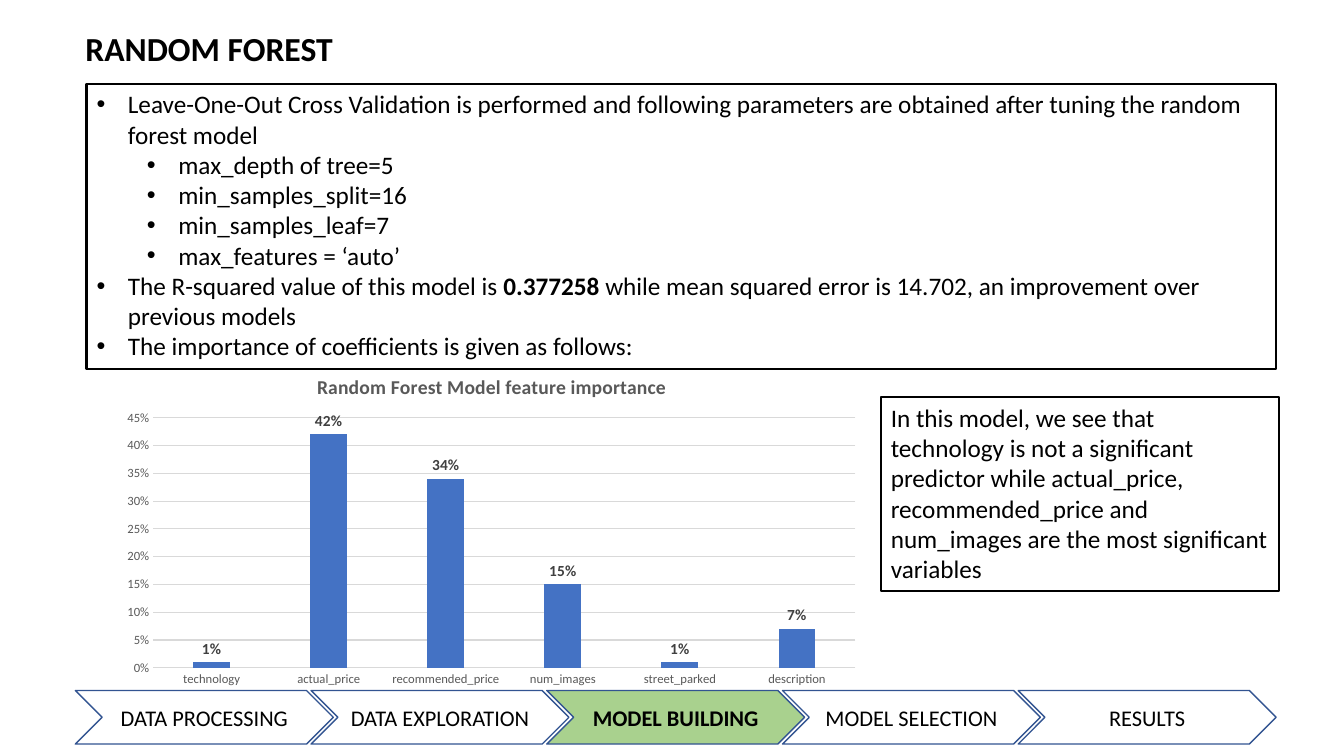
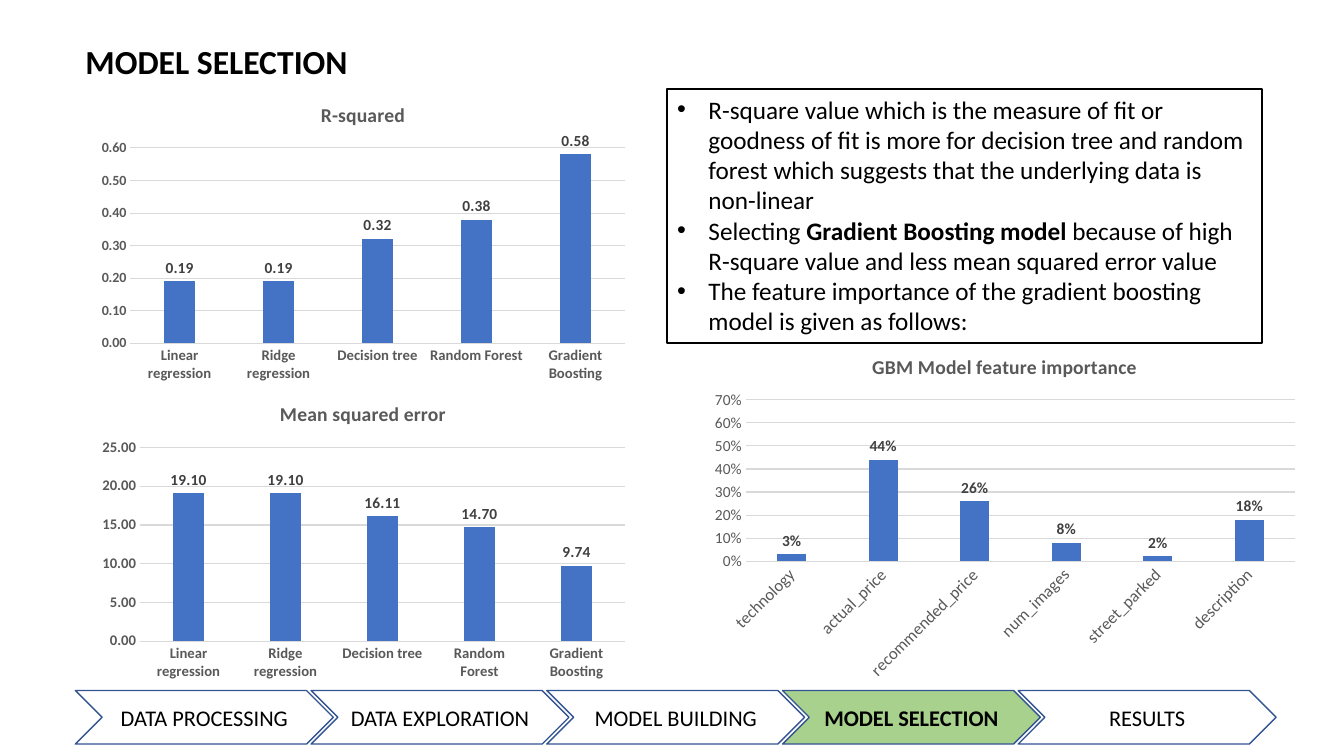
"""Build two slides on random forest results and model selection."""
from lxml import etree
from pptx import Presentation
from pptx.chart.data import CategoryChartData
from pptx.dml.color import RGBColor
from pptx.enum.chart import XL_CHART_TYPE, XL_LABEL_POSITION, XL_TICK_MARK
from pptx.enum.shapes import MSO_SHAPE
from pptx.enum.text import MSO_ANCHOR, MSO_AUTO_SIZE, PP_ALIGN
from pptx.oxml import parse_xml
from pptx.oxml.ns import nsdecls, qn
from pptx.util import Cm, Pt

COLUMNS = XL_CHART_TYPE.COLUMN_CLUSTERED
ABOVE_BAR = XL_LABEL_POSITION.OUTSIDE_END
NO_TICKS = XL_TICK_MARK.NONE
RECTANGLE, CHEVRON = MSO_SHAPE.RECTANGLE, MSO_SHAPE.CHEVRON
TOP, MIDDLE = MSO_ANCHOR.TOP, MSO_ANCHOR.MIDDLE
LEFT, CENTER = PP_ALIGN.LEFT, PP_ALIGN.CENTER
FIXED_SIZE = MSO_AUTO_SIZE.NONE

FONT = "Calibri"
BLACK = RGBColor(0x00, 0x00, 0x00)
WHITE = RGBColor(0xFF, 0xFF, 0xFF)
GREEN = RGBColor(0xA9, 0xD1, 0x8E)
NAVY = RGBColor(0x32, 0x54, 0x91)
BLUE = RGBColor(0x44, 0x72, 0xC4)
DARK_GREY = RGBColor(0x40, 0x40, 0x40)
GREY = RGBColor(0x59, 0x59, 0x59)
LIGHT_GREY = RGBColor(0xD9, 0xD9, 0xD9)

STAGES = ["DATA PROCESSING", "DATA EXPLORATION", "MODEL BUILDING",
          "MODEL SELECTION", "RESULTS"]
STAGE_LEFT, STAGE_TOP, STAGE_STEP = 1.9, 17.4, 5.94
STAGE_WIDTH, STAGE_HEIGHT = 6.5, 1.35
BULLET_INDENTS = [0.79, 2.06]
BULLET_HANG = 0.79

FEATURES = ["technology", "actual_price", "recommended_price",
            "num_images", "street_parked", "description"]
MODELS = ["Linear regression", "Ridge regression", "Decision tree",
          "Random Forest", "Gradient Boosting"]

SLIDES = [
    {
        "title": "RANDOM FOREST",
        "title_box": (1.9, 0.58, 12.29, 1.27),
        "bullets": [
            (0, "Leave-One-Out Cross Validation is performed and following parameters "
                "are obtained after tuning the random forest model"),
            (1, "max_depth of tree=5"),
            (1, "min_samples_split=16"),
            (1, "min_samples_leaf=7"),
            (1, "max_features = ‘auto’"),
            (0, "The R-squared value of this model is **0.377258 **while mean squared "
                "error is 14.702, an improvement over previous models"),
            (0, "The importance of coefficients is given as follows:"),
        ],
        "bullets_box": (2.18, 2.11, 29.97, 7.19),
        "note": "In this model, we see that technology is not a significant predictor "
                "while actual_price, recommended_price and num_images are the most "
                "significant variables",
        "note_box": (22.2, 10.01, 10.03, 4.88),
        "charts": [
            {"title": "Random Forest Model feature importance",
             "categories": FEATURES, "values": [0.01, 0.42, 0.34, 0.15, 0.01, 0.07],
             "box": (2.82, 9.02, 19.15, 8.59), "plot_box": (3.86, 10.53, 17.7, 6.3),
             "format": "0%", "top_value": 0.45, "step": 0.05,
             "sizes": (9, 9), "bold": False, "turn": 0},
        ],
        "stage": "MODEL BUILDING",
    },
    {
        "title": "MODEL SELECTION",
        "title_box": (1.9, 0.91, 17.75, 1.27),
        "bullets": [
            (0, "R-square value which is the measure of fit or goodness of fit is more "
                "for decision tree and random forest which suggests that the "
                "underlying data is non-linear"),
            (0, "Selecting **Gradient Boosting model **because of high R-square value "
                "and less mean squared error value"),
            (0, "The feature importance of the gradient boosting model is given as "
                "follows:"),
        ],
        "bullets_box": (16.81, 2.24, 14.99, 6.4),
        "charts": [
            {"title": "Mean squared error",
             "categories": MODELS, "values": [19.1, 19.1, 16.11, 14.7, 9.74],
             "box": (2.29, 9.7, 13.72, 7.62), "plot_box": (3.53, 11.28, 12.22, 4.88),
             "format": "0.00", "top_value": 25, "step": 5,
             "sizes": (10.5, 10.5), "bold": True, "turn": 0},
            {"title": "R-squared",
             "categories": MODELS, "values": [0.19, 0.19, 0.32, 0.38, 0.58],
             "box": (2.29, 2.18, 13.72, 7.62), "plot_box": (3.28, 3.73, 12.47, 4.92),
             "format": "0.00", "top_value": 0.6, "step": 0.1,
             "sizes": (10.5, 10), "bold": True, "turn": 0},
            {"title": "GBM Model feature importance",
             "categories": FEATURES, "values": [0.03, 0.44, 0.26, 0.08, 0.02, 0.18],
             "box": (17.7, 8.51, 15.24, 8.84), "plot_box": (18.8, 10.08, 13.84, 4.06),
             "format": "0%", "top_value": 0.7, "step": 0.1,
             "sizes": (12, 11), "bold": False, "turn": -45},
        ],
        "stage": "MODEL SELECTION",
    },
]


def in_cm(box):
    return [Cm(length) for length in box]


def style_font(font, size, color, bold=False):
    font.name = FONT
    font.size = Pt(size)
    font.bold = bold
    font.color.rgb = color


def add_bullet(paragraph, level):
    properties = paragraph._p.get_or_add_pPr()
    properties.set("marL", str(Cm(BULLET_INDENTS[level])))
    properties.set("indent", str(-Cm(BULLET_HANG)))
    etree.SubElement(properties, qn("a:buFont")).set("typeface", "Arial")
    etree.SubElement(properties, qn("a:buChar")).set("char", "•")


def write_text(frame, lines, size=18, color=BLACK, bold=False, align=LEFT, bullets=False):
    for index, (level, line) in enumerate(lines):
        paragraph = frame.add_paragraph() if index else frame.paragraphs[0]
        paragraph.level = level
        paragraph.alignment = align
        paragraph.space_before = Pt(0)
        if bullets:
            add_bullet(paragraph, level)
        for part, words in enumerate(line.split("**")):
            run = paragraph.add_run()
            run.text = words
            style_font(run.font, size, color, bold or part % 2 == 1)


def set_frame(frame, anchor):
    frame.word_wrap = True
    frame.auto_size = FIXED_SIZE
    frame.vertical_anchor = anchor


def fill_placeholder(placeholder, box, lines, **text_format):
    placeholder.left, placeholder.top, placeholder.width, placeholder.height = in_cm(box)
    set_frame(placeholder.text_frame, TOP)
    write_text(placeholder.text_frame, lines, **text_format)


def outline(shape, color, width):
    shape.line.color.rgb = color
    shape.line.width = Pt(width)


def add_note(slide, text, box):
    note = slide.shapes.add_shape(RECTANGLE, *in_cm(box))
    note.shadow.inherit = False
    note.fill.background()
    outline(note, BLACK, 1.5)
    set_frame(note.text_frame, TOP)
    write_text(note.text_frame, [(0, text)])


def place_plot(chart, box, plot_box):
    left, top, width, height = box
    plot_left, plot_top, plot_width, plot_height = plot_box
    fractions = {"x": (plot_left - left) / width, "y": (plot_top - top) / height,
                 "w": plot_width / width, "h": plot_height / height}
    plot_area = chart.element.xpath("c:chart/c:plotArea")[0]
    for layout in plot_area.findall(qn("c:layout")):
        plot_area.remove(layout)
    modes = '<c:layoutTarget val="inner"/><c:xMode val="edge"/><c:yMode val="edge"/>'
    sides = "".join(f'<c:{side} val="{value:.4f}"/>' for side, value in fractions.items())
    plot_area.insert(0, parse_xml(
        f'<c:layout {nsdecls("c")}><c:manualLayout>{modes}{sides}</c:manualLayout></c:layout>'))


def clear_background(chart):
    chart.element.find(qn("c:chart")).addnext(parse_xml(
        f'<c:spPr {nsdecls("c", "a")}><a:noFill/><a:ln><a:noFill/></a:ln></c:spPr>'))


def add_column_chart(slide, content):
    data = CategoryChartData(number_format=content["format"])
    data.categories = content["categories"]
    data.add_series(content["title"], content["values"])
    chart = slide.shapes.add_chart(COLUMNS, *in_cm(content["box"]), data).chart
    style_font(chart.font, 10, BLACK)
    chart.has_legend = False
    chart.has_title = True
    write_text(chart.chart_title.text_frame, [(0, content["title"])],
               size=14, color=GREY, bold=True, align=CENTER)
    chart.chart_title.include_in_layout = False

    plot = chart.plots[0]
    plot.vary_by_categories = False
    plot.gap_width, plot.overlap = 219, -27
    bars = plot.series[0].format.fill
    bars.solid()
    bars.fore_color.rgb = BLUE
    plot.has_data_labels = True
    labels = plot.data_labels
    labels.show_value = True
    labels.position = ABOVE_BAR
    labels.number_format = content["format"]
    labels.number_format_is_linked = False
    style_font(labels.font, 11, DARK_GREY, True)

    names, scale = chart.category_axis, chart.value_axis
    for axis, size in zip((names, scale), content["sizes"]):
        axis.major_tick_mark = axis.minor_tick_mark = NO_TICKS
        style_font(axis.tick_labels.font, size, GREY, content["bold"])
    scale.minimum_scale, scale.maximum_scale = 0, content["top_value"]
    scale.major_unit = content["step"]
    scale.tick_labels.number_format = content["format"]
    scale.tick_labels.number_format_is_linked = False
    scale.format.line.fill.background()
    scale.has_major_gridlines = True
    for rule in (names.format.line, scale.major_gridlines.format.line):
        rule.color.rgb = LIGHT_GREY
        rule.width = Pt(0.75)
    label_body = chart.element.xpath("c:chart/c:plotArea/c:catAx/c:txPr/a:bodyPr")[0]
    label_body.set("rot", str(content["turn"] * 60000))
    label_body.set("vert", "horz")
    place_plot(chart, content["box"], content["plot_box"])
    clear_background(chart)


def add_stage_band(slide, current):
    for index, stage in enumerate(STAGES):
        box = (STAGE_LEFT + index * STAGE_STEP, STAGE_TOP, STAGE_WIDTH, STAGE_HEIGHT)
        arrow = slide.shapes.add_shape(CHEVRON, *in_cm(box))
        arrow.shadow.inherit = False
        arrow.fill.solid()
        arrow.fill.fore_color.rgb = GREEN if stage == current else WHITE
        outline(arrow, NAVY, 1)
        frame = arrow.text_frame
        set_frame(frame, MIDDLE)
        frame.margin_left = frame.margin_right = 0
        write_text(frame, [(0, stage)], size=16, bold=stage == current, align=CENTER)


def add_slide(deck, content):
    slide = deck.slides.add_slide(deck.slide_layouts[1])
    fill_placeholder(slide.shapes.title, content["title_box"], [(0, content["title"])],
                     size=24, bold=True)
    findings = slide.placeholders[1]
    fill_placeholder(findings, content["bullets_box"], content["bullets"], bullets=True)
    outline(findings, BLACK, 1.5)
    if "note" in content:
        add_note(slide, content["note"], content["note_box"])
    for chart_content in content["charts"]:
        add_column_chart(slide, chart_content)
    add_stage_band(slide, content["stage"])


def main():
    deck = Presentation()
    deck.slide_width, deck.slide_height = Cm(33.87), Cm(19.05)
    for content in SLIDES:
        add_slide(deck, content)
    deck.save("out.pptx")


if __name__ == "__main__":
    main()
